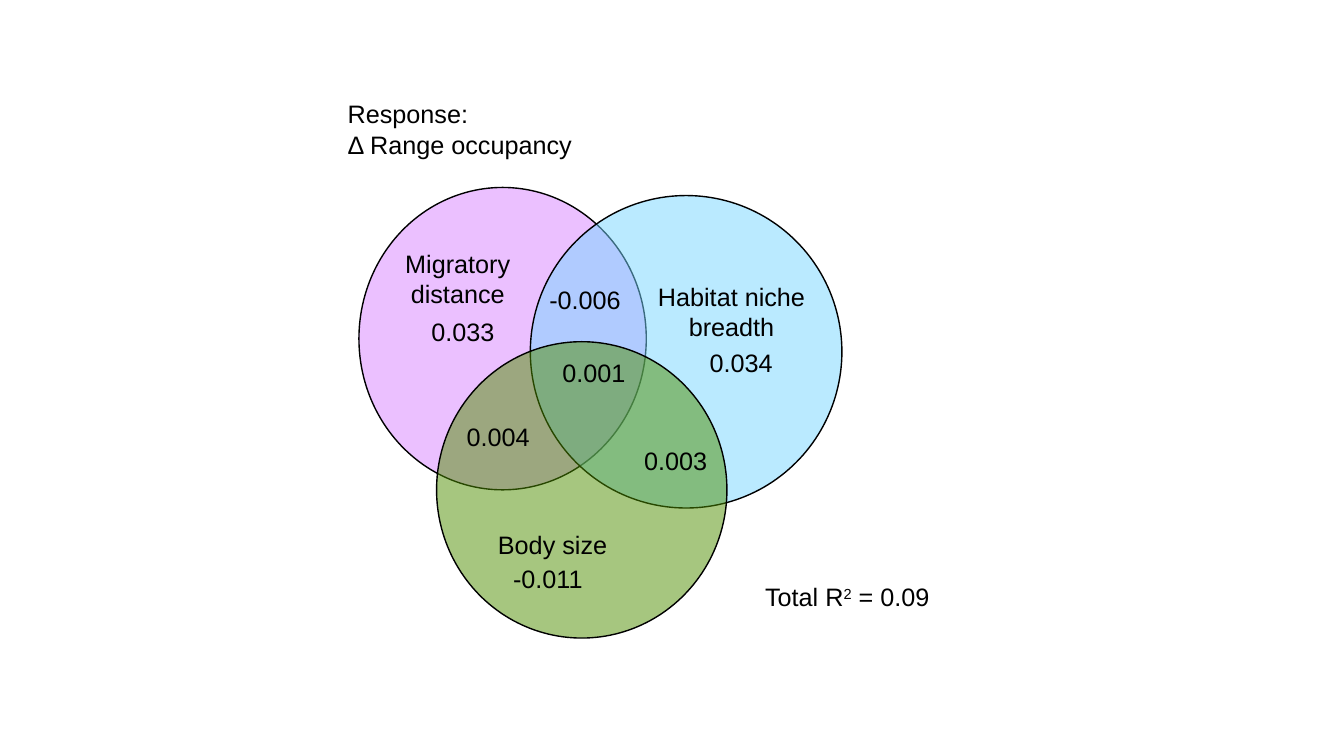
from lxml import etree
from pptx import Presentation
from pptx.dml.color import RGBColor
from pptx.enum.shapes import MSO_SHAPE
from pptx.enum.text import MSO_AUTO_SIZE, PP_ALIGN
from pptx.oxml.ns import qn
from pptx.util import Pt

PX = 9144  # 100 px to the inch
OVAL = MSO_SHAPE.OVAL
GROW = MSO_AUTO_SIZE.SHAPE_TO_FIT_TEXT
LEFT, CENTER = PP_ALIGN.LEFT, PP_ALIGN.CENTER
COLORS = {"migration": "D883FF", "habitat": "76D6FF", "body": "4E8F00", "ink": "000000"}
INK = RGBColor.from_string(COLORS["ink"])
TEXT_FORMAT = {"name": "Arial", "size": Pt(18)}

deck = Presentation()
deck.slide_width, deck.slide_height = 1333 * PX, 750 * PX
page = deck.slides.add_slide(deck.slide_layouts[6])

circles = [
    ("migration", 356, 186, 285, 300),
    ("habitat", 526, 194, 309, 310),
    ("body", 433, 339, 288, 294),
]
for color, *bounds in circles:
    circle = page.shapes.add_shape(OVAL, *[length * PX for length in bounds])
    circle.shadow.inherit = False
    circle.fill.solid()
    circle.fill.fore_color.rgb = RGBColor.from_string(COLORS[color])
    fill_color = circle.fill._xPr.find(qn("a:solidFill"))[0]
    etree.SubElement(fill_color, qn("a:alpha"), val="50000")
    circle.line.color.rgb = INK
    circle.line.width = Pt(1)


def add_label(paragraphs, left, top, width, height=40, align=LEFT):
    """Add a text box; each paragraph is a list of spans, every second one raised."""
    box = page.shapes.add_textbox(left * PX, top * PX, width * PX, height * PX)
    frame = box.text_frame
    frame.word_wrap = True
    frame.auto_size = GROW
    for index, spans in enumerate(paragraphs):
        para = frame.add_paragraph() if index else frame.paragraphs[0]
        para.alignment = align
        for position, text in enumerate(spans):
            span = para.add_run()
            span.text = text
            for name, value in TEXT_FORMAT.items():
                setattr(span.font, name, value)
            span.font.color.rgb = INK
            if position % 2:
                span.font._element.set("baseline", "30000")


add_label([["Response:"], ["Δ Range occupancy"]], 335, 93, 266, 71)
add_label([["Migratory distance"]], 390, 241, 128, 71, CENTER)
add_label([["Habitat niche breadth"]], 625, 274, 201, 71, CENTER)
add_label([["Body size"]], 484, 520, 201)
add_label([["Total R", "2", " = 0.09"]], 749, 572, 186)

variance_shares = [
    ("0.033", 418, 309),
    ("0.034", 694, 340),
    ("-0.011", 499, 554),
    ("-0.006", 535, 277),
    ("0.001", 548, 350),
    ("0.003", 629, 437),
    ("0.004", 453, 413),
]
for share, left, top in variance_shares:
    add_label([[share]], left, top, 130)

deck.save("out.pptx")
